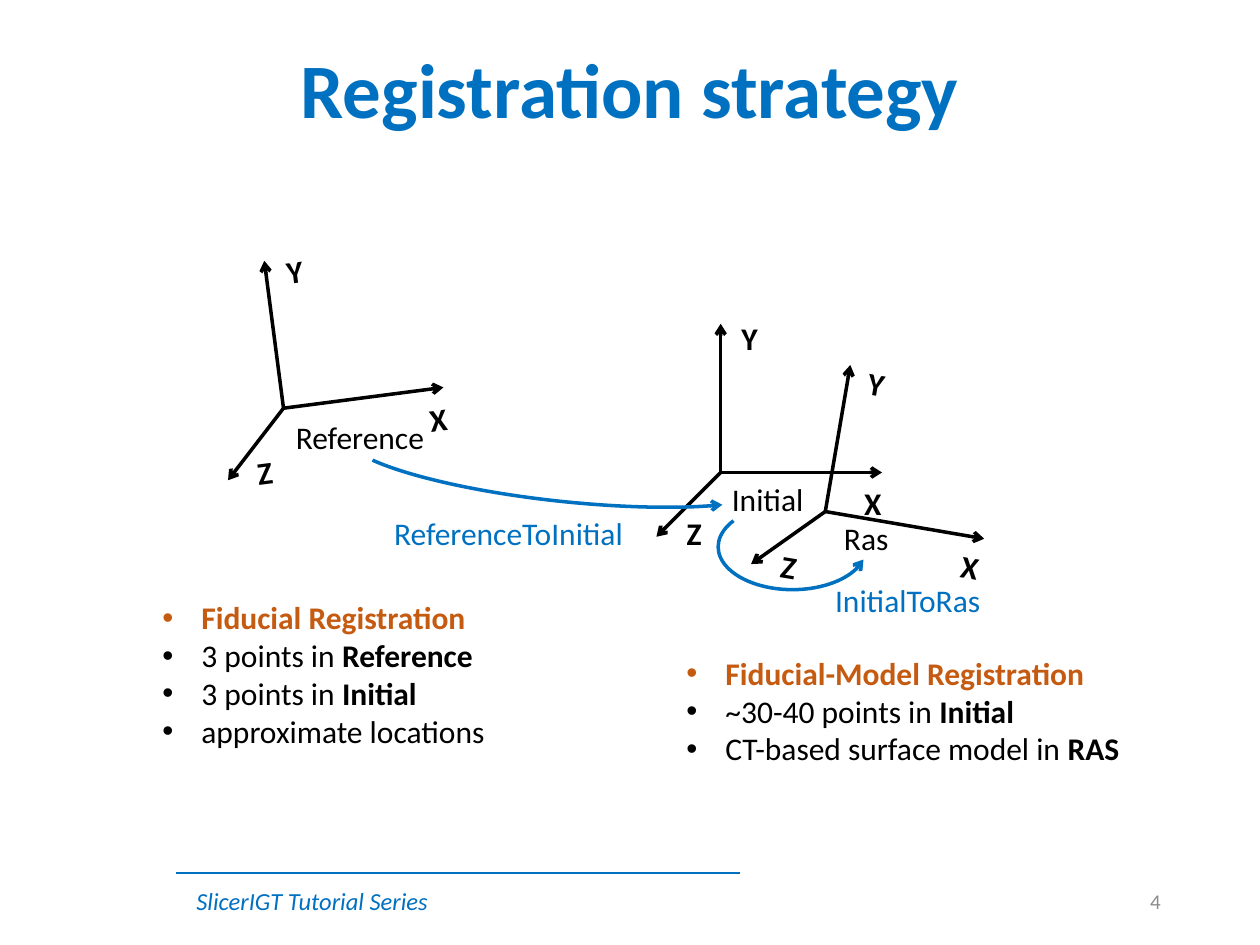
from math import cos, radians, sin

from lxml.etree import SubElement
from pptx import Presentation
from pptx.dml.color import RGBColor
from pptx.enum.shapes import MSO_CONNECTOR as CONNECTOR, MSO_SHAPE as SHAPE
from pptx.enum.text import MSO_ANCHOR as ANCHOR, PP_ALIGN as ALIGN
from pptx.oxml.ns import qn
from pptx.util import Pt

PX = 9144
COLORS = {"blue": "0070C0", "black": "000000", "orange": "C55A11", "gray": "8C8C8C"}
AXES = {
    "Y": {"tip": (0, -118), "label": (23, -107), "width": 33},
    "X": {"tip": (128, 0), "label": (121, 24), "width": 34},
    "Z": {"tip": (-51, 51), "label": (-21, 48), "width": 32},
}


def emu(*lengths):
    """Turn px lengths into EMU."""
    return [round(length * PX) for length in lengths]


def style_line(line, color, width, arrow_end=None):
    """Colour a line and give it an open arrowhead at one end."""
    line.color.rgb = RGBColor.from_string(COLORS[color])
    line.width = Pt(width)
    if arrow_end:
        SubElement(line._ln, qn(f"a:{arrow_end}"), type="arrow")


def add_line(shapes, start, end, color, width, arrow_end=None):
    """Draw a straight line without shadow."""
    line = shapes.add_connector(CONNECTOR.STRAIGHT, *emu(*start, *end))
    style_line(line.line, color, width, arrow_end)
    SubElement(line._element.spPr, qn("a:effectLst"))


def add_run(paragraph, text, size=18, color="black", bold=False, italic=False):
    """Append one formatted run."""
    run = paragraph.add_run()
    run.text = text
    font = run.font
    font.name, font.size, font.bold, font.italic = "Calibri", Pt(size), bold, italic
    font.color.rgb = RGBColor.from_string(COLORS[color])


def add_text(shapes, box, text, align=ALIGN.LEFT, anchor=ANCHOR.TOP, wrap=False, **style):
    """Place a one-line text in the box."""
    label = shapes.add_textbox(*emu(*box))
    frame = label.text_frame
    frame.word_wrap, frame.vertical_anchor = wrap, anchor
    paragraph = frame.paragraphs[0]
    paragraph.alignment = align
    add_run(paragraph, text, **style)
    return label


def add_footer(shapes, box, series, number):
    """Place the rule, series name and slide number."""
    left, top, width, height = box
    add_line(shapes, (left, top), (left + 447, top), "blue", 1.25)
    add_text(shapes, (left + 6, top + 5, 206, 34), series, size=14, color="blue", italic=True)
    add_text(shapes, (left + width - 225, top + 2, 225, height), number,
             ALIGN.RIGHT, ANCHOR.MIDDLE, True, size=12, color="gray")


def add_axes(shapes, origin, angle):
    """Draw a coordinate system turned about its origin."""
    group = shapes.add_group_shape().shapes
    turn = radians(angle)

    def place(offset):
        """Turn an offset and add it to the origin."""
        x, y = offset
        return (origin[0] + x * cos(turn) - y * sin(turn),
                origin[1] + x * sin(turn) + y * cos(turn))

    for axis in AXES.values():
        add_line(group, origin, place(axis["tip"]), "black", 2, "tailEnd")
    for name, axis in AXES.items():
        x, y = place(axis["label"])
        width = axis["width"]
        label = add_text(group, (x - width / 2, y - 20, width, 40), name, bold=True)
        label.rotation = angle


def add_transform(shapes, box, end_adjustment, rotation=0):
    """Draw a curved arrow from one coordinate system to another."""
    arc = shapes.add_shape(SHAPE.ARC, *emu(*box))
    arc.adjustments[0], arc.adjustments[1] = 6.08, end_adjustment
    arc.rotation = rotation
    arc.shadow.inherit = False
    arc.fill.background()
    style_line(arc.line, "blue", 2, "headEnd")


def add_bullets(shapes, box, heading, points):
    """Write a coloured heading and points that end in a bold name."""
    frame = shapes.add_textbox(*emu(*box)).text_frame
    frame.word_wrap = True
    rows = [[(heading, "orange", True)]]
    rows += [[(lead, "black", False), (name, "black", True)] for lead, name in points]
    for index, row in enumerate(rows):
        paragraph = frame.add_paragraph() if index else frame.paragraphs[0]
        properties = paragraph._p.get_or_add_pPr()
        indent = 31 * PX
        properties.set("marL", str(indent))
        properties.set("indent", str(-indent))
        SubElement(properties, qn("a:buFont"), typeface="Arial")
        SubElement(properties, qn("a:buChar"), char="•")
        for text, color, bold in row:
            if text:
                add_run(paragraph, text, color=color, bold=bold)


def main():
    """Build the registration strategy slide."""
    deck = Presentation()
    deck.slide_width, deck.slide_height = emu(1000, 750)
    shapes = deck.slides.add_slide(deck.slide_layouts[6]).shapes
    add_footer(shapes, (140, 693, 791, 40), "SlicerIGT Tutorial Series", "4")
    title = add_text(shapes, (69, 40, 862, 69), "Registration strategy",
                     ALIGN.CENTER, ANCHOR.MIDDLE, True, size=44, color="blue", bold=True)
    title.text_frame.paragraphs[0].line_spacing = 0.9

    add_axes(shapes, (572, 375), 0)
    add_axes(shapes, (655, 406), 9.7)
    add_transform(shapes, (570, 400, 118, 68), 122.31)
    add_text(shapes, (571, 376, 78, 40), "Initial")
    add_text(shapes, (660, 407, 56, 40), "Ras")
    add_text(shapes, (653, 456, 137, 40), "InitialToRas", color="blue")

    add_axes(shapes, (225, 324), -7.4)
    add_text(shapes, (225, 327, 123, 40), "Reference")
    add_transform(shapes, (272, 330, 351, 68), 104.06, 6.1)
    add_text(shapes, (303, 403, 204, 40), "ReferenceToInitial", color="blue")

    add_bullets(shapes, (119, 470, 279, 131), "Fiducial Registration", [
        ("3 points in ", "Reference"),
        ("3 points in ", "Initial"),
        ("approximate locations", ""),
    ])
    add_bullets(shapes, (535, 514, 370, 101), "Fiducial-Model Registration", [
        ("~30-40 points in ", "Initial"),
        ("CT-based surface model in ", "RAS"),
    ])
    deck.save("out.pptx")


if __name__ == "__main__":
    main()
